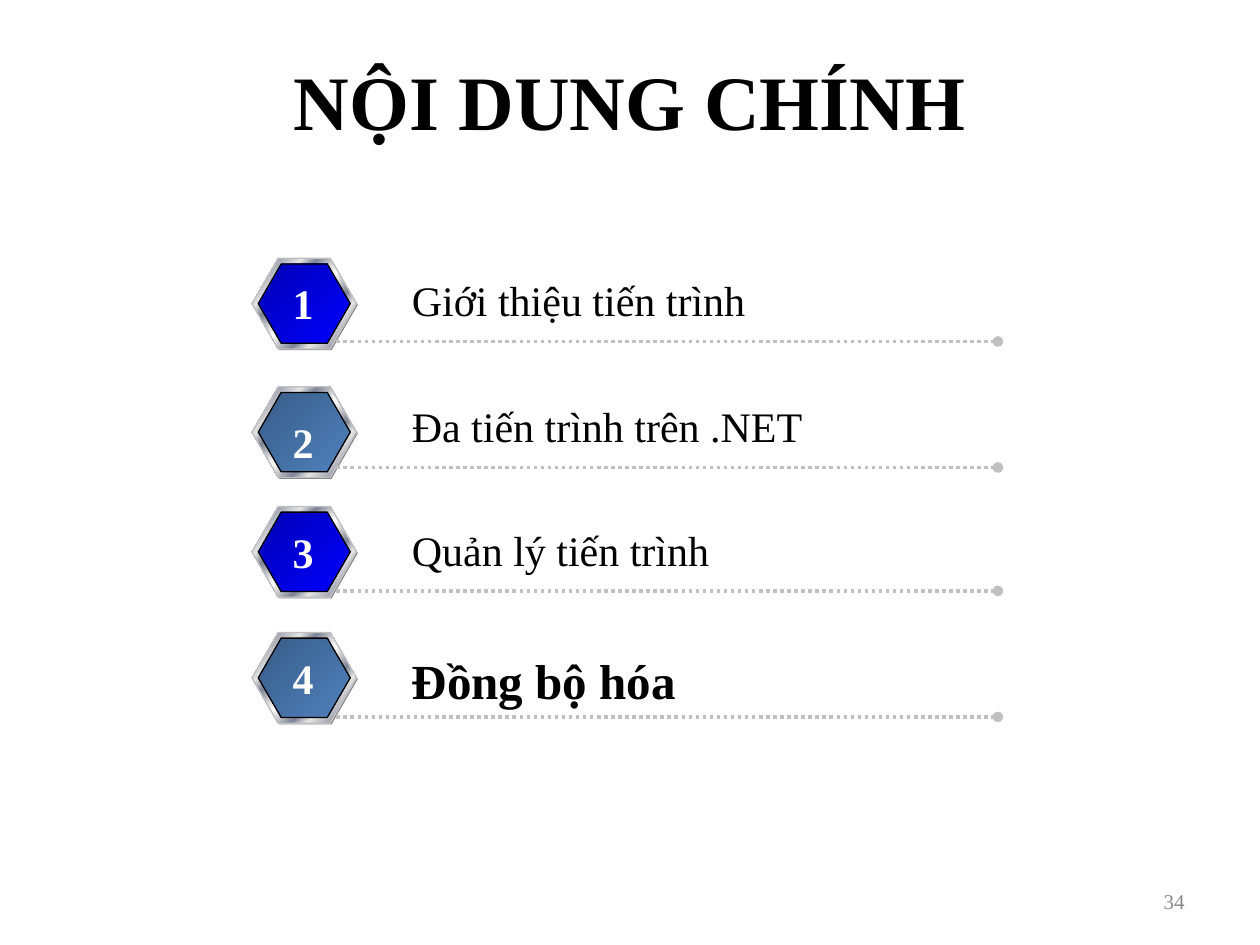
import lxml.etree
import pptx
import pptx.dml.color
import pptx.enum.dml
import pptx.enum.shapes
import pptx.enum.text
import pptx.oxml.ns
import pptx.util

COLUMNS, ROWS = 100, 75
ALIGN = pptx.enum.text.PP_ALIGN
ANCHOR = pptx.enum.text.MSO_ANCHOR

METAL = [(0, "E6E6E6"), (8, "7D8496"), (26, "E6E6E6"), (34, "7D8496"),
         (46, "E6E6E6"), (50, "FFFFFF"), (54, "E6E6E6"), (66, "7D8496"),
         (74, "E6E6E6"), (92, "7D8496"), (100, "E6E6E6")]
BRIGHT = [(0, "0000B6"), (100, "0000FF")]
MUTED = [(0, "395C87"), (100, "4F81BD")]

# label, label width, label height, size, bold, badge row, number row, rule row
TOPICS = [
    ("Giới thiệu tiến trình", 28.7, 5.1, 24, False, 20.5, 21.5, 27.1),
    ("Đa tiến trình trên .NET", 33.3, 5.1, 24, False, 30.7, 32.6, 37.1),
    ("Quản lý tiến trình", 25.8, 5.1, 24, False, 40.2, 41.3, 46.9),
    ("Đồng bộ hóa", 23.2, 5.7, 28, True, 50.2, 51.3, 56.9),
]


def color(value):
    return pptx.dml.color.RGBColor.from_string(value)


def add_element(parent, tag, **attributes):
    return lxml.etree.SubElement(parent, pptx.oxml.ns.qn(tag), attributes)


class Page:
    """Style and current slide; every length is in grid columns and rows."""
    font = "Times New Roman"

    def __init__(self, deck):
        self.column = deck.slide_width / COLUMNS
        self.row = deck.slide_height / ROWS
        self.slide = deck.slides.add_slide(deck.slide_layouts[5])

    def place(self, left, top, width, height):
        return (round(left * self.column), round(top * self.row),
                round(width * self.column), round(height * self.row))

    def fill_text(self, box, text, size, ink, bold=False, align=ALIGN.LEFT):
        para = box.text_frame.paragraphs[0]
        para.alignment = align
        span = para.add_run()
        span.text = text
        span.font.name = self.font
        span.font.size = pptx.util.Pt(size)
        span.font.bold = bold
        span.font.color.rgb = color(ink)

    def title(self, text, area):
        box = self.slide.shapes.title
        box.left, box.top, box.width, box.height = self.place(*area)
        box.text_frame.vertical_anchor = ANCHOR.MIDDLE
        self.fill_text(box, text, 44, "000000", True, ALIGN.CENTER)

    def text(self, text, area, size, ink, bold=False, align=ALIGN.LEFT):
        """One-line text box that grows with its text."""
        box = self.slide.shapes.add_textbox(*self.place(*area))
        box.text_frame.word_wrap = False
        box.text_frame.auto_size = pptx.enum.text.MSO_AUTO_SIZE.SHAPE_TO_FIT_TEXT
        self.fill_text(box, text, size, ink, bold, align)

    def page_number(self, text, area):
        box = self.slide.shapes.add_textbox(*self.place(*area))
        box.text_frame.word_wrap = True
        box.text_frame.vertical_anchor = ANCHOR.MIDDLE
        self.fill_text(box, text, 12, "898989", align=ALIGN.RIGHT)

    def hexagon(self, group, area):
        shape = group.shapes.add_shape(
            pptx.enum.shapes.MSO_SHAPE.HEXAGON, *self.place(*area))
        shape.shadow.inherit = False
        shape.adjustments[0] = 0.289
        return shape

    def gradient_hexagon(self, group, area, stops, outline):
        shape = self.hexagon(group, area)
        shape.line.color.rgb = color(outline)
        shape.line.width = pptx.util.Pt(0.75)
        shape.fill.gradient()
        shape.fill.gradient_angle = 315
        gradient = shape._element.spPr.find(pptx.oxml.ns.qn("a:gradFill"))
        stop_list = gradient.find(pptx.oxml.ns.qn("a:gsLst"))
        for old in list(stop_list):
            stop_list.remove(old)
        for percent, value in stops:
            stop = add_element(stop_list, "a:gs", pos=str(percent * 1000))
            add_element(stop, "a:srgbClr", val=value)

    def badge(self, top, stops):
        """Hexagon with a dark edge, a metal ring and a coloured face."""
        group = self.slide.shapes.add_group_shape()
        edge = self.hexagon(group, (20.1, top + 0.1, 8.3, 7.2))
        edge.fill.solid()
        edge.fill.fore_color.rgb = color("808080")
        edge.line.fill.background()
        self.gradient_hexagon(group, (20, top, 8.3, 7.2), METAL, "C0C0C0")
        self.gradient_hexagon(group, (20.5, top + 0.45, 7.3, 6.3), stops, "000000")

    def dotted_rule(self, left, right, row):
        start_x, y, end_x, _ = self.place(left, row, right, 0)
        rule = self.slide.shapes.add_connector(
            pptx.enum.shapes.MSO_CONNECTOR.STRAIGHT, start_x, y, end_x, y)
        rule.line.color.rgb = color("C0C0C0")
        rule.line.width = pptx.util.Pt(2)
        rule.line.dash_style = pptx.enum.dml.MSO_LINE.ROUND_DOT
        properties = rule._element.spPr
        add_element(properties.find(pptx.oxml.ns.qn("a:ln")), "a:tailEnd", type="oval")
        add_element(properties, "a:effectLst")


def main():
    deck = pptx.Presentation()
    deck.slide_width = pptx.util.Inches(10)
    deck.slide_height = pptx.util.Inches(7.5)
    page = Page(deck)
    page.title("NỘI DUNG CHÍNH", (5, 1.7, 90, 12.5))
    page.page_number("34", (71.7, 69.5, 23.3, 4))
    for number, topic in enumerate(TOPICS, start=1):
        label, width, height, size, bold, badge_row, number_row, rule_row = topic
        page.badge(badge_row, BRIGHT if number % 2 else MUTED)
        page.dotted_rule(26.7, 79.2, rule_row)
        page.text(label, (31.7, rule_row - 5.8, width, height), size, "000000", bold)
        page.text(str(number), (22.2, number_row, 3.7, 5.1), 24, "FFFFFF", True,
                  ALIGN.CENTER)
    deck.save("out.pptx")


if __name__ == "__main__":
    main()
